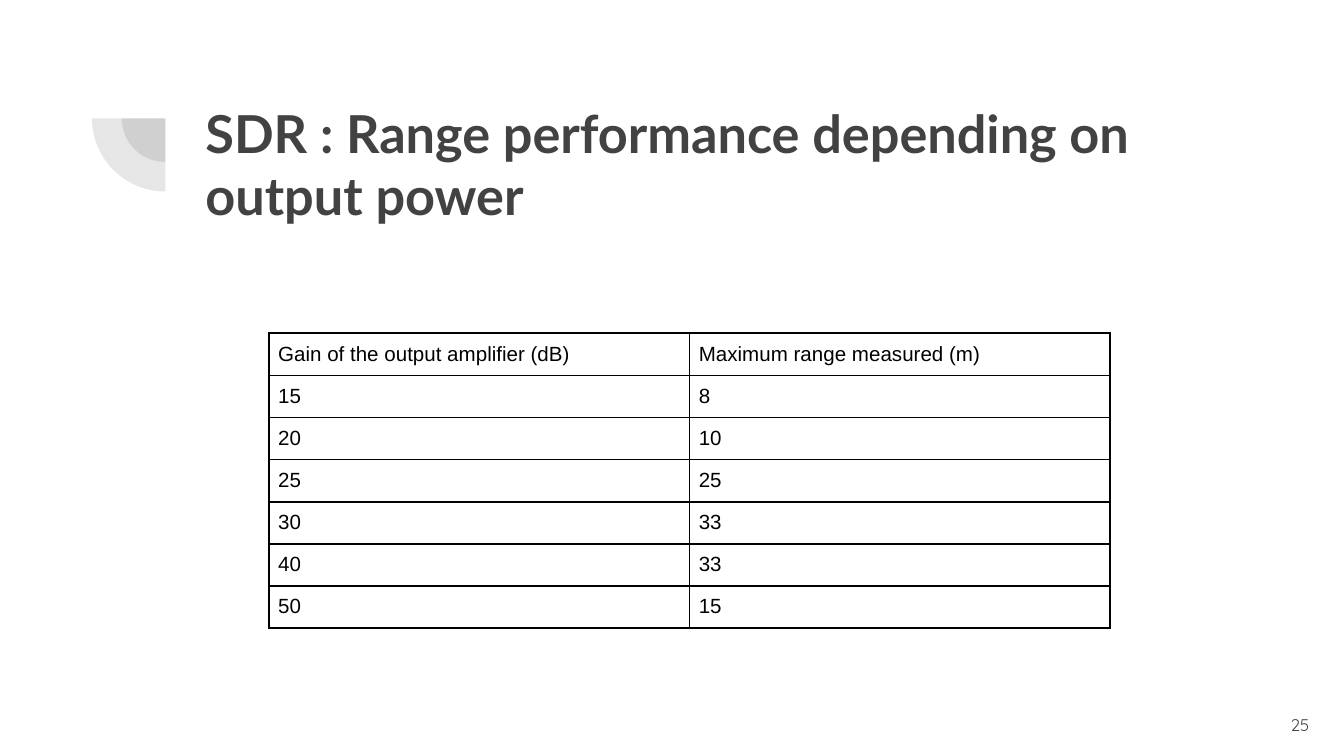
import lxml.etree
import pptx
import pptx.dml.color
import pptx.enum.shapes
import pptx.enum.text
import pptx.oxml.ns
import pptx.util

Inches = pptx.util.Inches
Pt = pptx.util.Pt
RGBColor = pptx.dml.color.RGBColor
PP_ALIGN = pptx.enum.text.PP_ALIGN
MSO_ANCHOR = pptx.enum.text.MSO_ANCHOR
qn = pptx.oxml.ns.qn

GREY = RGBColor(0x42, 0x42, 0x42)
BLACK = RGBColor(0, 0, 0)


def write(tf, text, font="Arial", size=11, color=BLACK, bold=False, align=PP_ALIGN.LEFT):
    p = tf.paragraphs[0]
    p.alignment = align
    r = p.add_run()
    r.text = text
    r.font.name = font
    r.font.size = Pt(size)
    r.font.color.rgb = color
    r.font.bold = bold


def add_border(cell, side):
    ln = lxml.etree.SubElement(cell._tc.get_or_add_tcPr(), qn(f"a:{side}"), w=str(Pt(1)))
    fill = lxml.etree.SubElement(ln, qn("a:solidFill"))
    lxml.etree.SubElement(fill, qn("a:srgbClr"), val=str(BLACK))


prs = pptx.Presentation()
prs.slide_width = Inches(10)
prs.slide_height = prs.slide_width * 9 // 16
s = prs.slides.add_slide(prs.slide_layouts[6])

# Two translucent quarter discs around one centre
center_x, center_y = 1.23, 0.88
for size in (0.65, 1.09):
    sp = s.shapes.add_shape(
        pptx.enum.shapes.MSO_SHAPE.PIE,
        Inches(center_x - size / 2), Inches(center_y - size / 2), Inches(size), Inches(size))
    sp.adjustments[0] = 108  # 180 degrees
    sp.adjustments[1] = 162  # 270 degrees
    sp.rotation = 270
    sp.shadow.inherit = False
    sp.line.fill.background()
    sp.fill.solid()
    sp.fill.fore_color.rgb = GREY
    color = sp._element.spPr.find(qn("a:solidFill"))[0]
    lxml.etree.SubElement(color, qn("a:alpha"), val="13000")

# Title
tf = s.shapes.add_textbox(Inches(1.43), Inches(0.65), Inches(7.69), Inches(1.09)).text_frame
tf.word_wrap = True
tf.margin_left = tf.margin_right = tf.margin_top = tf.margin_bottom = Inches(0.1)
write(tf, "SDR : Range performance depending on output power",
      font="Lato", size=28, color=GREY, bold=True)

# Measurements
rows = [
    ("Gain of the output amplifier (dB)", "Maximum range measured (m)"),
    ("15", "8"),
    ("20", "10"),
    ("25", "25"),
    ("30", "33"),
    ("40", "33"),
    ("50", "15"),
]
table_height = Inches(2.16)
table = s.shapes.add_table(
    len(rows), 2, Inches(2), Inches(2.48), Inches(6.26), table_height).table
table.first_row = False
table.horz_banding = False
for i, row in enumerate(rows):
    table.rows[i].height = table_height // len(rows)
    for j, text in enumerate(row):
        cell = table.cell(i, j)
        cell.margin_left = cell.margin_right = cell.margin_top = Inches(0.07)
        cell.margin_bottom = Inches(0.06)
        for side in ("lnL", "lnR", "lnT", "lnB"):
            add_border(cell, side)
        cell.fill.background()
        write(cell.text_frame, text)

# Slide number
tf = s.shapes.add_textbox(Inches(9.24), Inches(5.18), Inches(0.6), Inches(0.43)).text_frame
tf.word_wrap = True
tf.margin_left = tf.margin_right = tf.margin_top = tf.margin_bottom = Inches(0.1)
tf.vertical_anchor = MSO_ANCHOR.MIDDLE
write(tf, "25", font="Quicksand", size=9, color=GREY, align=PP_ALIGN.RIGHT)

prs.save("out.pptx")
